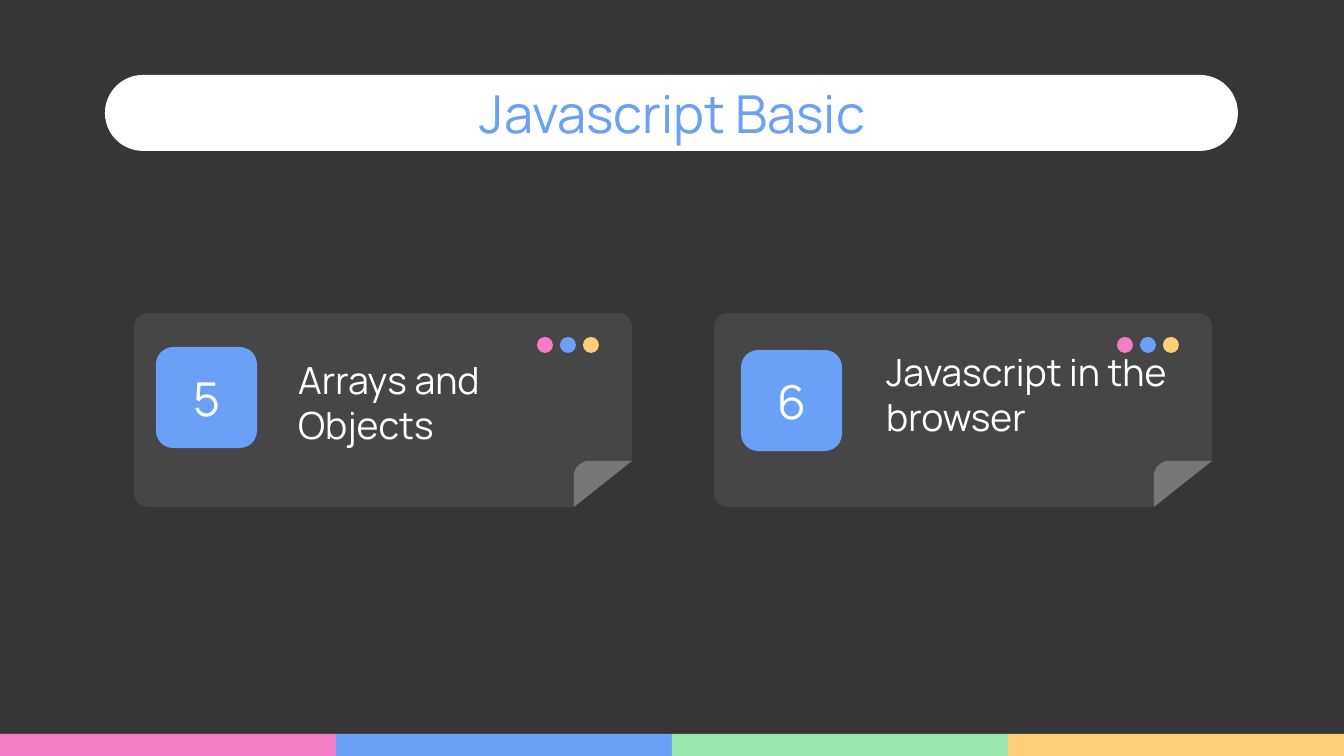
import math

import pptx
import pptx.dml.color
import pptx.enum.shapes
import pptx.enum.text
import pptx.util

PX = 914400 / 134.4  # EMU per px
PINK, BLUE, GREEN, YELLOW = "F57DC6", "6AA1F7", "9AE6AE", "FCCF78"
WHITE, DARK, CARD, FOLD = "FFFFFF", "363636", "464646", "777777"
KIND = pptx.enum.shapes.MSO_SHAPE
ALIGN = pptx.enum.text.PP_ALIGN


def paint(format_owner, color):
    """Fill a shape or background with a solid colour; shapes lose their outline."""
    format_owner.fill.solid()
    format_owner.fill.fore_color.rgb = pptx.dml.color.RGBColor.from_string(color)
    if hasattr(format_owner, "line"):
        format_owner.line.fill.background()
        format_owner.shadow.inherit = False


def write(shape, text, size=20, color=WHITE, align=ALIGN.LEFT):
    frame = shape.text_frame
    frame.word_wrap = True
    frame.auto_size = pptx.enum.text.MSO_AUTO_SIZE.NONE
    frame.vertical_anchor = pptx.enum.text.MSO_ANCHOR.MIDDLE
    frame.margin_left = frame.margin_right = pptx.util.Inches(0.1)
    frame.margin_top = frame.margin_bottom = pptx.util.Inches(0.1)
    paragraph = frame.paragraphs[0]
    paragraph.alignment = align
    run = paragraph.add_run()
    run.text = text
    run.font.size = pptx.util.Pt(size)
    run.font.name = "Manrope"
    run.font.color.rgb = pptx.dml.color.RGBColor.from_string(color)


presentation = pptx.Presentation()
presentation.slide_width = round(1344 * PX)
presentation.slide_height = round(756 * PX)
slide = presentation.slides.add_slide(presentation.slide_layouts[5])
shapes = slide.shapes
paint(slide.background, DARK)

# Colour strip along the bottom
for index, color in enumerate([PINK, BLUE, GREEN, YELLOW]):
    box = [round(length * PX) for length in (index * 336, 734, 336, 22)]
    paint(shapes.add_shape(KIND.RECTANGLE, *box), color)

# Title on a white pill
box = [round(length * PX) for length in (105, 75, 1133, 76)]
pill = shapes.add_shape(KIND.ROUNDED_RECTANGLE, *box)
pill.adjustments[0] = 0.5
paint(pill, WHITE)
title = shapes.title
title.left, title.top, title.width, title.height = [
    round(length * PX) for length in (106, 79, 1133, 67)]
write(title, "Javascript Basic", size=28, color=BLUE, align=ALIGN.CENTER)
pill.element.addnext(title.element)

# Topic cards: card left, number, tile position, topic, topic box
cards = [
    (134, "5", (156, 347), "Arrays and Objects", (285, 375, 339, 54)),
    (714, "6", (741, 350), "Javascript in the browser", (873, 367, 365, 54)),
]
for left, number, tile_corner, topic, topic_box in cards:
    box = [round(length * PX) for length in (left, 313, 498, 194)]
    card = shapes.add_shape(KIND.ROUNDED_RECTANGLE, *box)
    card.adjustments[0] = 0.07
    paint(card, CARD)

    # Window dots
    for index, color in enumerate([PINK, BLUE, YELLOW]):
        box = [round(length * PX) for length in (left + 403 + index * 23, 337, 16, 16)]
        paint(shapes.add_shape(KIND.OVAL, *box), color)

    # Cut corner in the background colour
    box = [round(length * PX) for length in (left + 441, 461, 57, 46)]
    cut = shapes.add_shape(KIND.RIGHT_TRIANGLE, *box)
    cut.element.spPr.xfrm.set("flipH", "1")
    paint(cut, DARK)
    cut.line.color.rgb = pptx.dml.color.RGBColor.from_string(DARK)
    cut.line.width = pptx.util.Pt(0.75)

    # Folded flap with one rounded corner
    radius, fold_left, fold_top = 15, left + 440, 461
    arc = [(fold_left + radius * (1 - math.sin(math.radians(angle))),
            fold_top + radius * (1 - math.cos(math.radians(angle))))
           for angle in range(0, 91, 10)]
    builder = shapes.build_freeform(*arc[0], scale=PX)
    builder.add_line_segments(arc[1:] + [(fold_left, 507), (left + 498, fold_top)])
    paint(builder.convert_to_shape(), FOLD)

    # Number tile
    box = [round(length * PX) for length in (*tile_corner, 101, 101)]
    tile = shapes.add_shape(KIND.ROUNDED_RECTANGLE, *box)
    tile.adjustments[0] = 0.17
    paint(tile, BLUE)
    write(tile, number, size=25, align=ALIGN.CENTER)

    # Topic
    box = [round(length * PX) for length in topic_box]
    write(shapes.add_textbox(*box), topic)

presentation.save("out.pptx")
